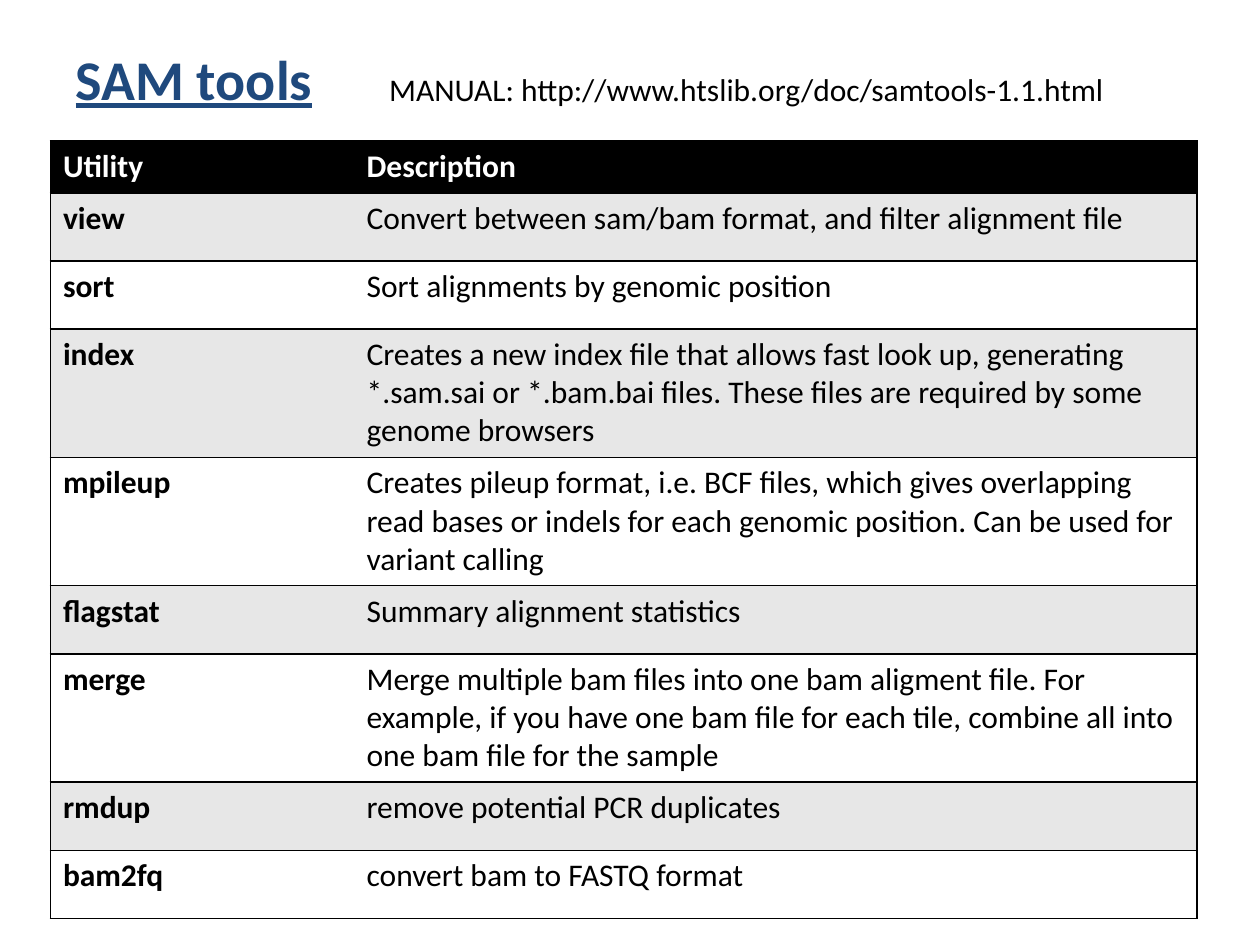
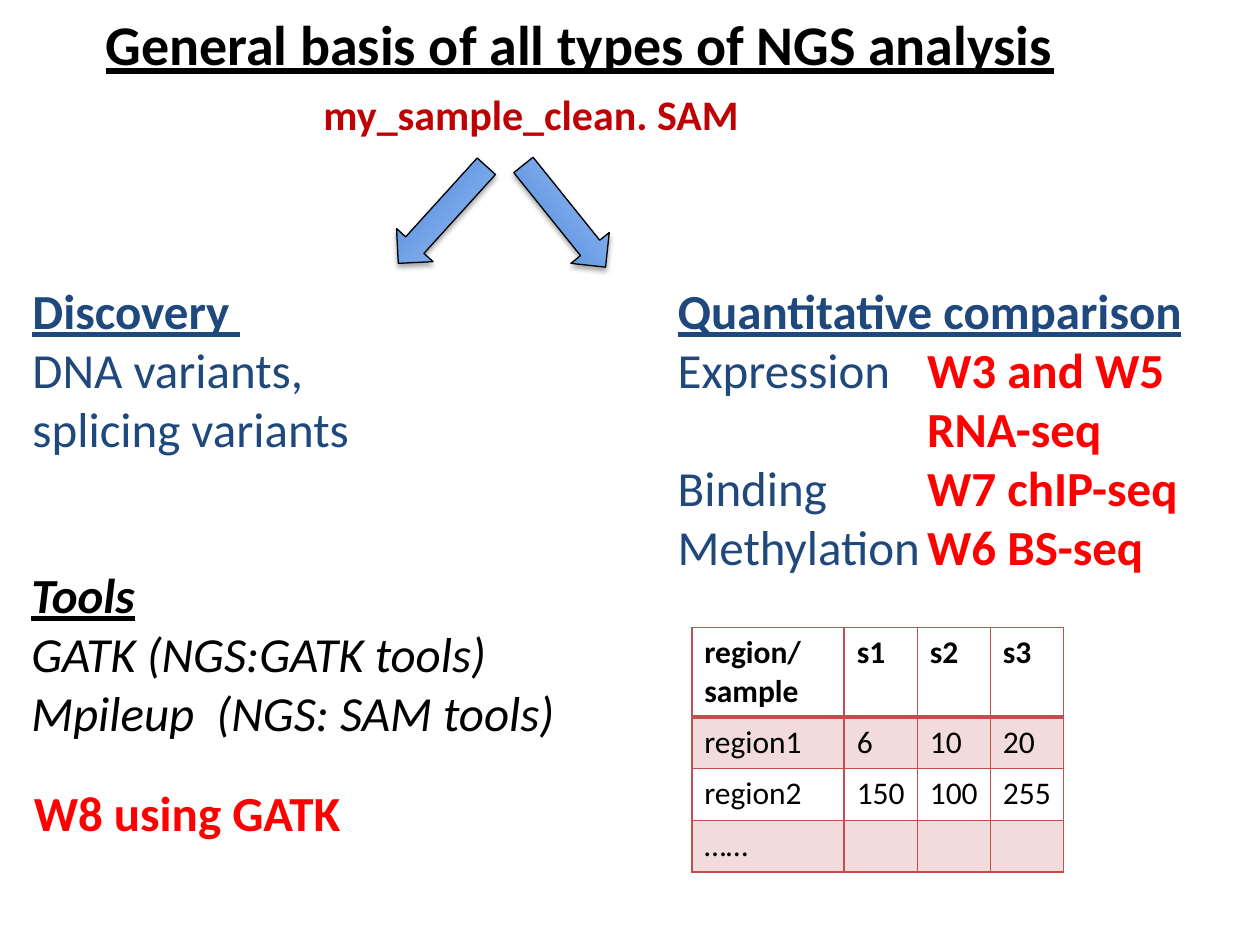
"""Build two slides on SAM tools and the general basis of NGS analysis."""
from lxml import etree
from pptx import Presentation
from pptx import util as u
from pptx.dml.color import RGBColor
from pptx.enum import shapes, text
from pptx.oxml.ns import qn

FONT = "Calibri"
COLORS = {
    "black": "000000", "white": "FFFFFF", "navy": "1F497D", "red": "FF0000",
    "dark_red": "BE0204", "band": "E7E7E7", "grid": "C0504D", "pink": "F2DCDB",
    "arrow_dark": "3F80CE", "arrow_light": "A4C4FF",
}
UTILITIES = [
    ("Utility", "Description"),
    ("view", "Convert between sam/bam format, and filter alignment file"),
    ("sort", "Sort alignments by genomic position"),
    ("index", "Creates a new index file that allows fast look up, generating "
              "*.sam.sai or *.bam.bai files. These files are required by some genome browsers"),
    ("mpileup", "Creates pileup format, i.e. BCF files, which gives overlapping read bases "
                "or indels for each genomic position. Can be used for variant calling"),
    ("flagstat", "Summary alignment statistics"),
    ("merge", "Merge multiple bam files into one bam aligment file. For example, if you have "
              "one bam file for each tile, combine all into one bam file for the sample"),
    ("rmdup", "remove potential PCR duplicates"),
    ("bam2fq", "convert bam to FASTQ format"),
]
COUNTS = [
    ("region/sample", "s1", "s2", "s3"),
    ("region1", "6", "10", "20"),
    ("region2", "150", "100", "255"),
    ("……", "", "", ""),
]


def rgb(name):
    """Return the named colour."""
    return RGBColor.from_string(COLORS[name])


def add_run(p, words, size, color="black", bold=False, italic=False, underline=False):
    """Add one formatted run to a paragraph."""
    r = p.add_run()
    r.text = words
    f = r.font
    f.name, f.size, f.color.rgb = FONT, u.Pt(size), rgb(color)
    f.bold, f.italic, f.underline = bold, italic, underline


def place(sp, left, top, width, height):
    """Set position and size in inches."""
    sp.left, sp.top = u.Inches(left), u.Inches(top)
    sp.width, sp.height = u.Inches(width), u.Inches(height)


def add_slide(prs, title, box, color, align, anchor):
    """Add a slide with the shared underlined title style."""
    s = prs.slides.add_slide(prs.slide_layouts[5])
    place(s.shapes.title, *box)
    tf = s.shapes.title.text_frame
    tf.auto_size, tf.vertical_anchor = text.MSO_AUTO_SIZE.NONE, anchor
    p = tf.paragraphs[0]
    p.alignment = align
    add_run(p, title, 32, color, bold=True, underline=True)
    return s


def add_text(s, box, lines, size=28, align=text.PP_ALIGN.LEFT, tab=None):
    """Add a text box; each line is a list of (words, format) runs."""
    tf = s.shapes.add_textbox(*map(u.Inches, box)).text_frame
    tf.word_wrap = True
    for i, runs in enumerate(lines):
        p = tf.add_paragraph() if i else tf.paragraphs[0]
        p.alignment = align
        if tab:
            tabs = etree.SubElement(p._p.get_or_add_pPr(), qn("a:tabLst"))
            etree.SubElement(tabs, qn("a:tab"), pos=str(u.Inches(tab)), algn="l")
        for words, style in runs:
            add_run(p, words, size, **style)


def set_borders(cell, edges):
    """Draw the given edges {side: (colour, points)} and hide the others."""
    tc_pr = cell._tc.get_or_add_tcPr()
    for side in "LRTB":
        color, points = edges.get(side, (None, 0))
        ln = etree.SubElement(tc_pr, qn("a:ln" + side), w=str(u.Pt(points)))
        if color:
            fill = etree.SubElement(ln, qn("a:solidFill"))
            etree.SubElement(fill, qn("a:srgbClr"), val=COLORS[color])
        else:
            etree.SubElement(ln, qn("a:noFill"))


def add_table(s, left, top, widths, heights, rows, look):
    """Add a table; look(row, col) gives fill, font colour, bold and edges."""
    size = u.Inches(sum(widths)), u.Inches(sum(heights))
    table = s.shapes.add_table(len(rows), len(widths), u.Inches(left), u.Inches(top), *size).table
    table.horz_banding = False
    for column, width in zip(table.columns, widths):
        column.width = u.Inches(width)
    for i, (row, height) in enumerate(zip(rows, heights)):
        table.rows[i].height = u.Inches(height)
        for j, words in enumerate(row):
            cell = table.cell(i, j)
            fill, color, bold, edges = look(i, j)
            set_borders(cell, edges)
            if fill:
                cell.fill.solid()
                cell.fill.fore_color.rgb = rgb(fill)
            else:
                cell.fill.background()
            if words:
                add_run(cell.text_frame.paragraphs[0], words, 18, color, bold)


def utility_look(i, j):
    """Style the utilities table: black header, grey bands, ruled rows."""
    line = ("black", 1)
    edges = {"T": line, "B": line, "R" if j else "L": line}
    if i == 0:
        return "black", "white", True, edges
    return "band" if i % 2 else "white", "black", j == 0, edges


def count_look(i, j):
    """Style the counts table: red grid, pink bands, thick header rule."""
    edges = dict.fromkeys("LRTB", ("grid", 1))
    if i < 2:
        edges["TB"[i == 0]] = ("grid", 2)
    return "pink" if i % 2 else None, "black", i == 0, edges


def add_arrow(s, left, top, rotation):
    """Add a rotated block arrow with a gradient and a soft shadow."""
    sp = s.shapes.add_shape(shapes.MSO_SHAPE.RIGHT_ARROW,
                            *map(u.Inches, (left, top, 1.04, 0.39)))
    sp.rotation = rotation
    sp.fill.gradient()
    sp.fill.gradient_angle = 90
    for stop, color in zip(sp.fill.gradient_stops, ("arrow_dark", "arrow_light")):
        stop.color.rgb = rgb(color)
    sp.line.color.rgb, sp.line.width = rgb("black"), u.Pt(0.75)
    sp.shadow.inherit = False
    effects = sp._element.spPr.find(qn("a:effectLst"))
    shadow = etree.SubElement(effects, qn("a:outerShdw"), blurRad=str(u.Pt(3.1)),
                              dist=str(u.Pt(1.8)), dir="5400000", rotWithShape="0")
    color = etree.SubElement(shadow, qn("a:srgbClr"), val=COLORS["black"])
    etree.SubElement(color, qn("a:alpha"), val="35000")


def build_sam_tools(prs):
    """Build the slide that lists the SAM utilities."""
    s = add_slide(prs, "SAM tools", (0.5, 0.3, 9, 1.25), "navy",
                  text.PP_ALIGN.LEFT, text.MSO_ANCHOR.TOP)
    heights = [0.41] + [1.02 if len(about) > 60 else 0.54 for _, about in UTILITIES[1:]]
    add_table(s, 0.4, 1.12, (2.41, 6.69), heights, UTILITIES, utility_look)
    add_text(s, (2.99, 0.51, 5.9, 0.4),
             [[("MANUAL: http://www.htslib.org/doc/samtools-1.1.html", {})]], 18)


def build_ngs_basis(prs):
    """Build the slide that splits NGS analysis into two branches."""
    s = add_slide(prs, "General basis of all types of NGS analysis", (-0.02, 0, 9.24, 0.68),
                  "black", text.PP_ALIGN.CENTER, text.MSO_ANCHOR.MIDDLE)
    plain = {"color": "navy"}
    heading = {"color": "navy", "bold": True, "underline": True}
    workshop = {"color": "red", "bold": True}
    italic = {"italic": True}
    add_table(s, 5.49, 4.98, (1.21, 0.58, 0.58, 0.58), (0.71, 0.41, 0.41, 0.41),
              COUNTS, count_look)
    add_text(s, (0.16, 2.18, 2.74, 1.51),
             [[("Discovery ", heading)], [("DNA variants,", plain)],
              [("splicing variants", plain)]])
    topics = [("Expression", "W3 and W5"), ("", "RNA-seq"),
              ("Binding", "W7 chIP-seq"), ("Methylation", "W6 BS-seq")]
    add_text(s, (5.28, 2.18, 4.25, 2.46),
             [[("Quantitative comparison", heading)]]
             + [[(topic + "\t", plain), (label, workshop)] for topic, label in topics],
             tab=1.98)
    add_arrow(s, 2.99, 1.51, 132.2)
    add_text(s, (1.42, 0.65, 5.59, 0.5),
             [[("my_sample_clean. SAM", {"color": "dark_red", "bold": True})]],
             24, text.PP_ALIGN.CENTER)
    add_arrow(s, 3.96, 1.52, 51.2)
    add_text(s, (0.15, 4.43, 4.5, 1.51),
             [[("Tools", {"bold": True, "italic": True, "underline": True})],
              [("GATK (NGS:GATK tools)", italic)], [("Mpileup  (NGS: SAM tools)", italic)]])
    add_text(s, (0.17, 6.16, 3.57, 0.57), [[("W8 using GATK", workshop)]])


def main():
    """Build and save the presentation."""
    prs = Presentation()
    prs.slide_width, prs.slide_height = u.Inches(10), u.Inches(7.5)
    build_sam_tools(prs)
    build_ngs_basis(prs)
    prs.save("out.pptx")


if __name__ == "__main__":
    main()
